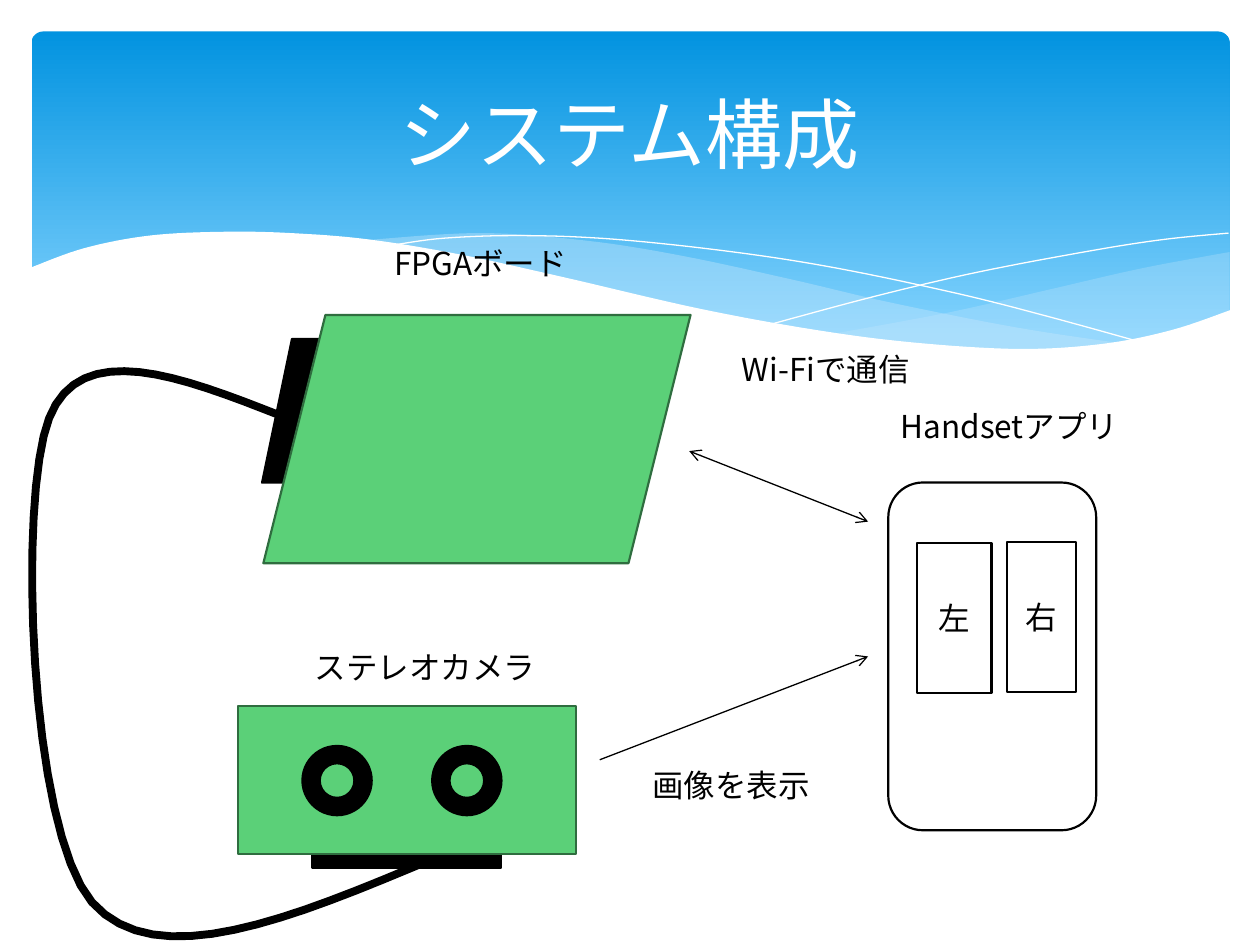
"""Build the system configuration slide: FPGA board, stereo camera and handset app."""
import pptx
import pptx.dml.color
import pptx.enum.dml
import pptx.enum.shapes
import pptx.enum.text
import pptx.oxml
import pptx.oxml.ns
import pptx.util

Inches, Pt = pptx.util.Inches, pptx.util.Pt
SHAPE = pptx.enum.shapes.MSO_SHAPE
FONT = "Noto Sans CJK JP"
BLACK, WHITE, GREEN, DARK_GREEN, HAZE = "000000", "FFFFFF", "5BD078", "2F6D3F", "C6E7FC"

BANNER = (0.25, 0.25, 9.51, 2.7)
BANNER_STOPS = [(0, "0293E0"), (0.9, "83D3FE")]
HAZES = [
    (29, [[(9.76, 2), (9.06, 2.13), (8.32, 2.3), (7.53, 2.48), (6.61, 2.65)],
          [(6.61, 2.65), (7.32, 2.74), (8.03, 2.78), (8.72, 2.74), (9.28, 2.63), (9.76, 2.47)]]),
    (40, [[(8.93, 2.73), (8.07, 2.6), (7.06, 2.4), (6.29, 2.22), (5.41, 2.03),
           (4.65, 1.91), (3.8, 1.85), (2.86, 1.91)],
          [(2.86, 1.91), (3.62, 2.03), (4.49, 2.22), (5.3, 2.4), (6.18, 2.58),
           (7.09, 2.72), (8.07, 2.78), (8.93, 2.73)]]),
]
STRANDS = [
    [(3.09, 1.95), (3.53, 1.89), (4.16, 1.87), (4.89, 1.9), (5.82, 2), (6.65, 2.13),
     (7.6, 2.33), (8.31, 2.51), (9.07, 2.72)],
    [(6.13, 2.57), (6.95, 2.35), (7.76, 2.16), (8.66, 1.99), (9.24, 1.9), (9.75, 1.85)],
]
WAVE = [
    [(9.77, 2.46), (9.3, 2.62), (8.75, 2.73), (8.09, 2.77), (7.26, 2.72), (6.48, 2.62),
     (5.55, 2.45), (4.47, 2.2), (3.65, 2.02), (2.92, 1.9), (2.3, 1.85), (1.77, 1.84),
     (1.19, 1.87), (0.67, 1.97), (0.23, 2.13)],
    [(0.23, 3.29), (9.77, 3.29)],
]
CABLE = [
    [(2.23, 3.3), (1.44, 2.99), (0.64, 2.68), (0.39, 3.32)],
    [(0.39, 3.32), (0.14, 3.96), (0.23, 6.58), (0.73, 7.16)],
    [(0.73, 7.16), (1.24, 7.74), (2.33, 7.28), (3.43, 6.82)],
]
HANDSET = [
    (SHAPE.ROUNDED_RECTANGLE, (7.05, 3.83, 1.65, 2.76), WHITE, BLACK, ""),
    (SHAPE.RECTANGLE, (7.28, 4.31, 0.59, 1.19), WHITE, BLACK, "左"),
    (SHAPE.RECTANGLE, (7.99, 4.3, 0.55, 1.19), WHITE, BLACK, "右"),
]
BOARDS = [
    (SHAPE.PARALLELOGRAM, (2.08, 2.69, 0.95, 1.14), BLACK, BLACK, ""),
    (SHAPE.PARALLELOGRAM, (2.09, 2.5, 3.39, 1.97), GREEN, DARK_GREEN, ""),
    (SHAPE.RECTANGLE, (2.48, 6.58, 1.5, 0.31), BLACK, BLACK, ""),
    (SHAPE.RECTANGLE, (1.89, 5.6, 2.68, 1.18), GREEN, DARK_GREEN, ""),
]
LENSES = [(SHAPE.DONUT, (x, 5.92, 0.55, 0.55), BLACK, BLACK, "") for x in (2.4, 3.43)]
LABELS = [
    ("Handsetアプリ", 7.05, 3.18, 2.28),
    ("FPGAボード", 3.03, 1.89, 1.89),
    ("Wi-Fiで通信", 5.79, 2.73, 1.79),
    ("ステレオカメラ", 2.4, 5.09, 2.16),
    ("画像を表示", 5.08, 6.03, 1.81),
]
ARROWS = [
    ((5.47, 3.58), (6.89, 4.14), ("headEnd", "tailEnd")),
    ((4.76, 6.03), (6.89, 5.21), ("tailEnd",)),
]


def rgb(code):
    return pptx.dml.color.RGBColor.from_string(code)


def xml(parent, tag, **attrs):
    el = pptx.oxml.parse_xml(f'<a:{tag} {pptx.oxml.ns.nsdecls("a")}/>')
    for name, value in attrs.items():
        el.set(name, value)
    parent.append(el)
    return el


def paint(sp, fill=None, line=None, width=1.25):
    sp.shadow.inherit = False
    if fill:
        sp.fill.solid()
        sp.fill.fore_color.rgb = rgb(fill)
    else:
        sp.fill.background()
    if line:
        sp.line.color.rgb = rgb(line)
        sp.line.width = Pt(width)
    else:
        sp.line.fill.background()


def write(sp, text, size=18, color=BLACK, font=FONT, centred=False):
    tf = sp.text_frame
    tf.word_wrap = True
    tf.text = text
    p = tf.paragraphs[0]
    if centred:
        tf.vertical_anchor = pptx.enum.text.MSO_ANCHOR.MIDDLE
        p.alignment = pptx.enum.text.PP_ALIGN.CENTER
    for r in p.runs:
        r.font.name, r.font.size = font, Pt(size)
        r.font.color.rgb = rgb(color)
        xml(r.font._element, "ea", typeface=FONT)


def bezier(a, b, c, d, steps=16):
    for i in range(steps + 1):
        t = i / steps
        u = 1 - t
        weights = (u ** 3, 3 * u * u * t, 3 * u * t * t, t ** 3)
        yield tuple(sum(w * q[k] for w, q in zip(weights, (a, b, c, d))) for k in (0, 1))


def smooth(points):
    ext = [points[0], *points, points[-1]]
    out = []
    for p0, p1, p2, p3 in zip(ext, ext[1:], ext[2:], ext[3:]):
        c1 = [q + (n - m) / 6 for m, q, n in zip(p0, p1, p2)]
        c2 = [q - (n - m) / 6 for m, q, n in zip(p1, p2, p3)]
        out += bezier(p1, c1, c2, p2, 8)
    return out


def outline(s, points, close=False):
    pts = [(Inches(x), Inches(y)) for x, y in points]
    fb = s.shapes.build_freeform(*pts[0])
    fb.add_line_segments(pts[1:], close=close)
    return fb.convert_to_shape()


def add_banner(s):
    sp = s.shapes.add_shape(SHAPE.ROUNDED_RECTANGLE, *map(Inches, BANNER))
    paint(sp)
    sp.adjustments[0] = 0.034
    sp.fill.gradient()
    sp.fill.gradient_angle = 270
    for stop, (position, color) in zip(sp.fill.gradient_stops, BANNER_STOPS):
        stop.position = position
        stop.color.rgb = rgb(color)
    for opacity, curves in HAZES:
        sp = outline(s, sum(map(smooth, curves), []), True)
        paint(sp, HAZE)
        clr = sp.fill._xPr.find(".//" + pptx.oxml.ns.qn("a:srgbClr"))
        xml(clr, "alpha", val=str(opacity * 1000))
    for points in STRANDS:
        paint(outline(s, smooth(points)), None, WHITE, 0)
    paint(outline(s, sum(map(smooth, WAVE), []), True), WHITE)


def add_shapes(s, items):
    for kind, box, fill, line, text in items:
        sp = s.shapes.add_shape(kind, *map(Inches, box))
        paint(sp, fill, line)
        if text:
            write(sp, text, centred=True)


def add_arrow(s, start, end, ends):
    sp = s.shapes.add_connector(pptx.enum.shapes.MSO_CONNECTOR.STRAIGHT,
                                *map(Inches, start + end))
    sp.line.color.rgb = rgb(BLACK)
    sp.line.width = Pt(0.75)
    for tag in ends:
        xml(sp.line._get_or_add_ln(), tag, type="arrow")
    xml(sp._element.spPr, "effectLst")


def main():
    prs = pptx.Presentation()
    prs.slide_width, prs.slide_height = Inches(10), Inches(7.5)
    s = prs.slides.add_slide(prs.slide_layouts[6])
    add_banner(s)
    title = s.shapes.add_textbox(*map(Inches, (0.5, 0.37, 9, 1.37)))
    write(title, "システム構成", 44, WHITE, "Calibri", True)
    add_shapes(s, HANDSET + BOARDS)
    cable = [pt for segment in CABLE for pt in bezier(*segment)]
    paint(outline(s, cable), None, BLACK, 4.5)
    add_shapes(s, LENSES)
    for text, x, y, w in LABELS:
        write(s.shapes.add_textbox(*map(Inches, (x, y, w, 0.4))), text)
    for arrow in ARROWS:
        add_arrow(s, *arrow)
    prs.save("out.pptx")


if __name__ == "__main__":
    main()
